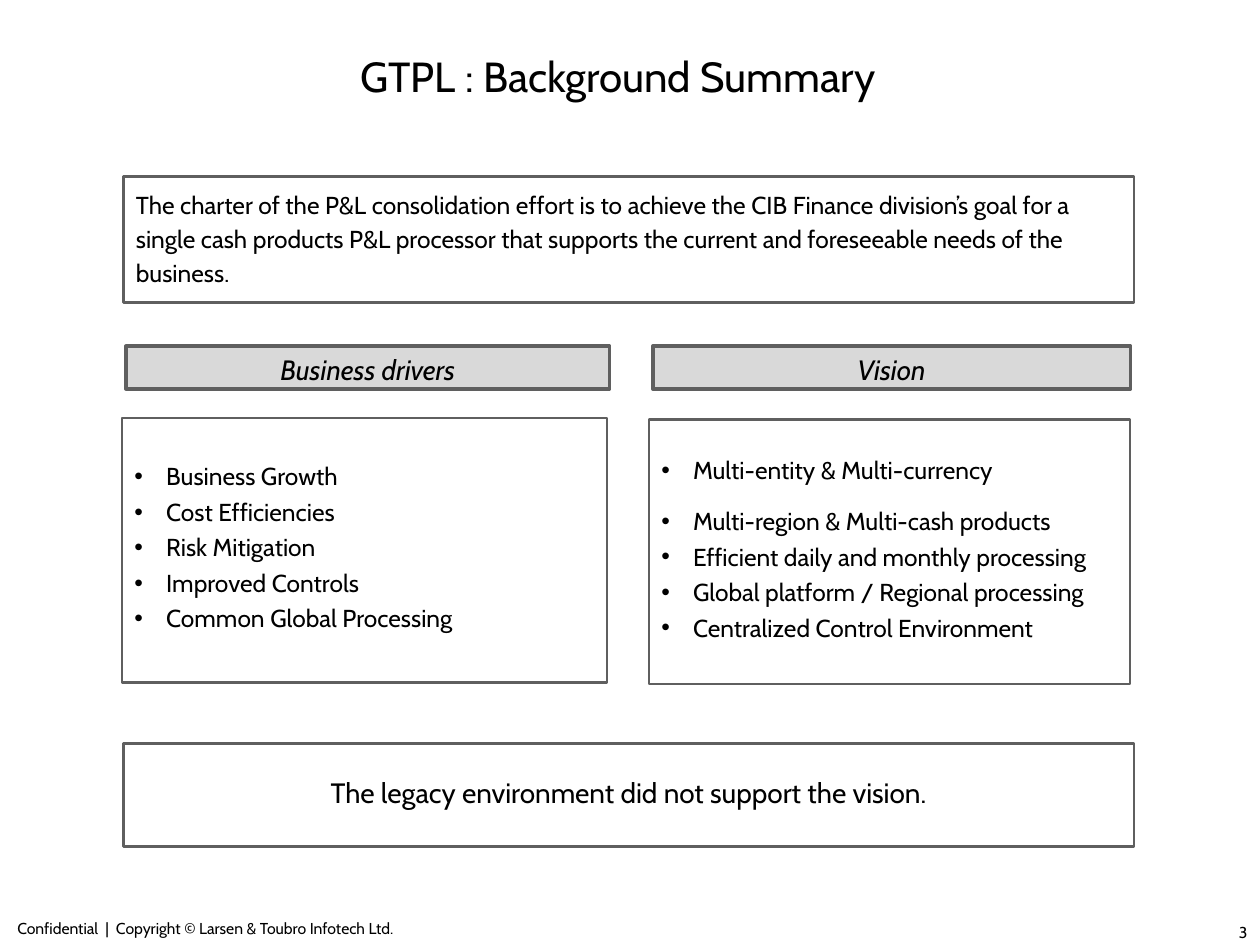
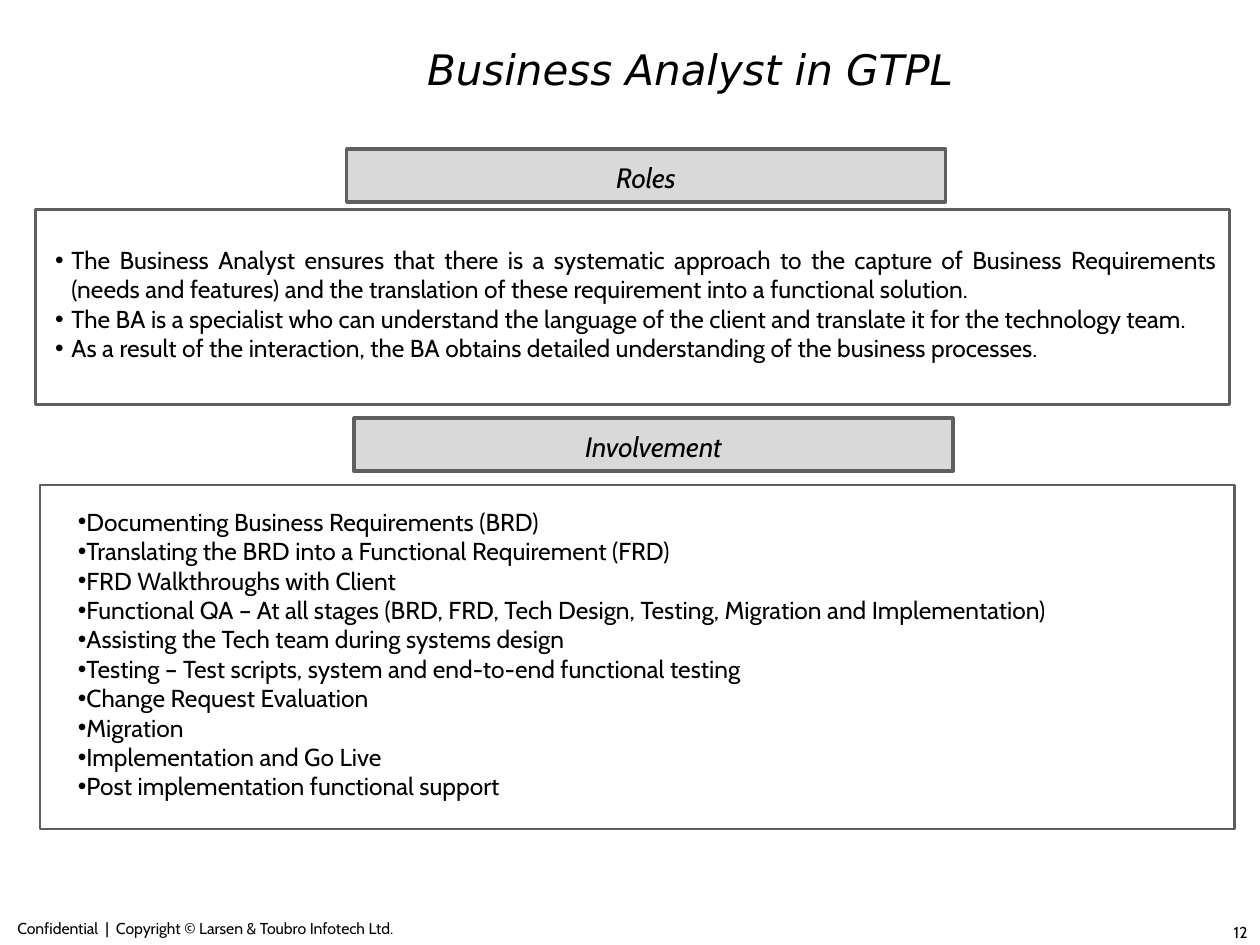
from pptx import Presentation
from pptx.dml.color import RGBColor
from pptx.enum import shapes, text
from pptx.util import Cm, Pt

BLACK = RGBColor(0x00, 0x00, 0x00)
GREY = RGBColor(0x5F, 0x5F, 0x5F)
BAND = RGBColor(0xD9, 0xD9, 0xD9)
FONT = "Cabin"
LEFT, CENTER, RIGHT, JUSTIFY = (text.PP_ALIGN.LEFT, text.PP_ALIGN.CENTER,
                                text.PP_ALIGN.RIGHT, text.PP_ALIGN.JUSTIFY)
MIDDLE, TOP = text.MSO_ANCHOR.MIDDLE, text.MSO_ANCHOR.TOP
FOOTER = "Confidential  |  Copyright © Larsen & Toubro Infotech Ltd."


def write(sp, lines, size, align=LEFT, anchor=MIDDLE, top=0.13, spacing=1.0,
          gaps=(), indent=None, font=FONT, italic=False):
    """Fill sp with one paragraph per line; gaps are points before each
    paragraph, indent is (left margin, first line) in cm."""
    tf = sp.text_frame
    tf.word_wrap = True
    tf.auto_size = text.MSO_AUTO_SIZE.NONE
    tf.vertical_anchor = anchor
    tf.margin_left = tf.margin_right = Cm(0.25)
    tf.margin_top, tf.margin_bottom = Cm(top), Cm(0.13)
    tf.text = "\n".join(lines)
    for i, p in enumerate(tf.paragraphs):
        p.alignment = align
        p.line_spacing = spacing
        p.space_before = Pt(gaps[i] if gaps else 0)
        if indent:
            pPr = p._p.get_or_add_pPr()
            pPr.set("marL", str(Cm(indent[0])))
            pPr.set("indent", str(Cm(indent[1])))
        p.font.name, p.font.size = font, Pt(size)
        p.font.italic = italic
        p.font.color.rgb = BLACK


def frame(sp, at, width=1.5, fill=None):
    """Place sp at (left, top, width, height) in cm and outline it in grey."""
    sp.left, sp.top, sp.width, sp.height = map(Cm, at)
    sp.line.color.rgb = GREY
    sp.line.width = Pt(width)
    if fill is None:
        sp.fill.background()
    else:
        sp.fill.solid()
        sp.fill.fore_color.rgb = fill


background = {
    "number": "3",
    "title": ("GTPL : Background Summary", (7.01, 0.61, 17.7, 1.83), FONT, False),
    "headings": [("Business drivers", (2.54, 6.98, 9.75, 0.86)),
                 ("Vision", (13.16, 6.98, 9.63, 0.86))],
    "lists": [
        ((2.46, 8.43, 9.78, 5.33),
         dict(indent=(0.64, -0.64), gaps=(0, 3.5, 3.5, 3.5, 3.5)),
         ["Business Growth", "Cost Efficiencies", "Risk Mitigation",
          "Improved Controls", "Common Global Processing"]),
        ((13.08, 8.46, 9.7, 5.33),
         dict(indent=(0.64, -0.64), gaps=(0, 12.2, 3.5, 3.5, 3.5)),
         ["Multi-entity & Multi-currency", "Multi-region & Multi-cash products",
          "Efficient daily and monthly processing",
          "Global platform / Regional processing",
          "Centralized Control Environment"]),
    ],
    "statements": [
        ("The charter of the P&L consolidation effort is to achieve the CIB Finance "
         "division’s goal for a single cash products P&L processor that supports "
         "the current and foreseeable needs of the business.",
         (2.49, 3.56, 20.37, 2.54), dict(size=14, spacing=1.15)),
        ("The legacy environment did not support the vision.",
         (2.49, 14.99, 20.37, 2.08), dict(size=16, align=CENTER)),
    ],
}
analyst = {
    "number": "12",
    "title": ("Business Analyst in GTPL", (8.36, 0.46, 16.43, 1.83),
              "DejaVu Sans", True),
    "headings": [("Roles", (6.99, 3, 12.07, 1.07)),
                 ("Involvement", (7.14, 8.43, 12.07, 1.07))],
    "lists": [
        ((0.71, 4.22, 24.08, 3.94), dict(indent=(0.48, -0.33), align=JUSTIFY),
         ["The Business Analyst ensures that there is a systematic approach to the "
          "capture of Business Requirements (needs and features) and the "
          "translation of these requirement into a functional solution.",
          "The BA is a specialist who can understand the language of the client "
          "and translate it for the technology team.",
          "As a result of the interaction, the BA obtains detailed understanding "
          "of the business processes."]),
        ((0.81, 9.78, 24.08, 6.93), dict(indent=(0.15, 0.36)),
         ["Documenting Business Requirements (BRD)",
          "Translating the BRD into a Functional Requirement (FRD)",
          "FRD Walkthroughs with Client",
          "Functional QA – At all stages (BRD, FRD, Tech Design, Testing, "
          "Migration and Implementation)",
          "Assisting the Tech team during systems design",
          "Testing – Test scripts, system and end-to-end functional testing",
          "Change Request Evaluation", "Migration", "Implementation and Go Live",
          "Post implementation functional support"]),
    ],
    "statements": [],
}

prs = Presentation()
prs.slide_width, prs.slide_height = Cm(25.4), Cm(19.05)
two_content = prs.slide_layouts[3]

for page in (background, analyst):
    s = prs.slides.add_slide(two_content)

    title, at, font, italic = page["title"]
    sp = s.shapes.title
    sp.left, sp.top, sp.width, sp.height = map(Cm, at)
    write(sp, [title], 24, font=font, italic=italic)

    for heading, at in page["headings"]:
        sp = s.shapes.add_shape(shapes.MSO_SHAPE.RECTANGLE, *map(Cm, at))
        sp.shadow.inherit = False
        frame(sp, at, 2, BAND)
        write(sp, [heading], 16, CENTER, spacing=1.1, italic=True)

    for idx, (at, style, lines) in enumerate(page["lists"], start=1):
        sp = s.placeholders[idx]
        frame(sp, at)
        write(sp, lines, 14, top=0, **style)

    for statement, at, style in page["statements"]:
        sp = s.shapes.add_shape(shapes.MSO_SHAPE.RECTANGLE, *map(Cm, at))
        sp.shadow.inherit = False
        frame(sp, at)
        write(sp, [statement], top=0, **style)

    for line, at, align in ((FOOTER, (0.1, 18.39, 10.97, 0.56), LEFT),
                            (page["number"], (19.48, 18.47, 5.92, 0.58), RIGHT)):
        sp = s.shapes.add_textbox(*map(Cm, at))
        write(sp, [line], 9, align, TOP)

prs.save("out.pptx")
